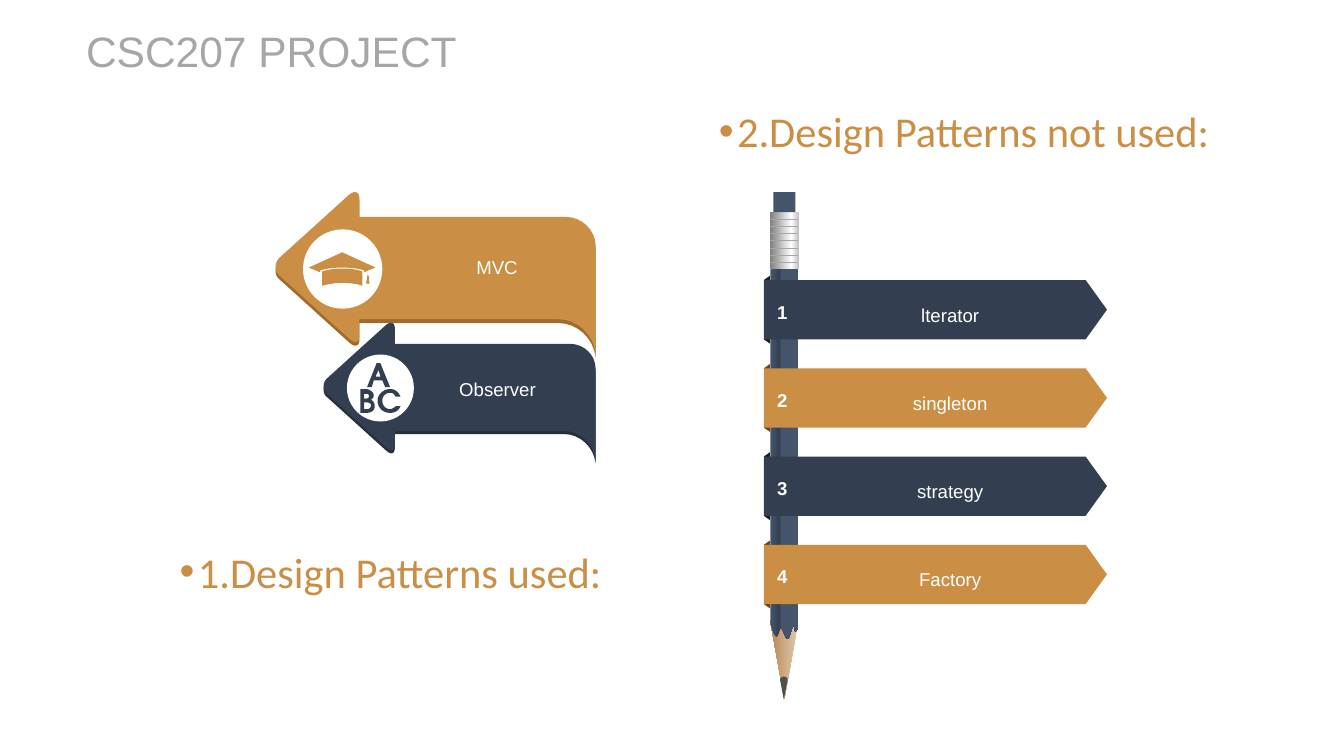
from lxml.etree import SubElement
from pptx import Presentation
from pptx.dml.color import RGBColor
from pptx.enum.shapes import MSO_CONNECTOR as Link, MSO_SHAPE as Kind
from pptx.enum.text import MSO_ANCHOR as Anchor, MSO_AUTO_SIZE as Fit, PP_ALIGN as Align
from pptx.oxml.ns import qn
from pptx.util import Inches, Pt

GOLD, NAVY, SLATE, WHITE, GREY = "CA8F45", "333F50", "44546A", "FFFFFF", "A6A6A6"


def rgb(code):
    return RGBColor.from_string(code)


def bend(start, curve, steps=8):
    """Points along a cubic curve, given as six numbers."""
    x, y = start
    a, b, c, d, e, f = curve
    for n in range(1, steps + 1):
        t = n / steps
        u = 1 - t
        k = (u ** 3, 3 * u * u * t, 3 * u * t * t, t ** 3)
        yield (k[0] * x + k[1] * a + k[2] * c + k[3] * e,
               k[0] * y + k[1] * b + k[2] * d + k[3] * f)


def trace(loop):
    """Turn pairs (corners) and sixes (curves) into plain points."""
    points = [loop[0]]
    for part in loop[1:]:
        points += [part] if len(part) == 2 else bend(points[-1], part)
    return points


class Board:
    font = "Arial"

    def __init__(self, slide):
        self.slide = slide
        self.shapes = slide.shapes

    def paint(self, shape, fill, turn=0):
        """Fill with one colour, or with a list of (percent, colour) stops."""
        shape.shadow.inherit = False
        shape.line.fill.background()
        if isinstance(fill, str):
            shape.fill.solid()
            shape.fill.fore_color.rgb = rgb(fill)
            return shape
        shape.fill.gradient()
        shape.fill.gradient_angle = turn
        stops = shape._element.spPr.find(qn("a:gradFill")).find(qn("a:gsLst"))
        for old in list(stops):
            stops.remove(old)
        for share, code in fill:
            stop = SubElement(stops, qn("a:gs"), pos=str(share * 1000))
            SubElement(stop, qn("a:srgbClr"), val=code)
        return shape

    def shape(self, kind, x, y, w, h, fill, adj=None, spin=0, turn=0):
        item = self.shapes.add_shape(kind, Inches(x), Inches(y), Inches(w), Inches(h))
        item.rotation = spin
        if adj is not None:
            item.adjustments[0] = adj
        return self.paint(item, fill, turn)

    def outline(self, loops, fill, x=0, y=0, scale=1):
        pen = None
        for loop in loops:
            first, *rest = [(Inches(x + a * scale), Inches(y + b * scale))
                            for a, b in trace(loop)]
            if pen is None:
                pen = self.shapes.build_freeform(*first)
            else:
                pen.move_to(*first)
            pen.add_line_segments(rest, close=True)
        return self.paint(pen.convert_to_shape(), fill)

    def line(self, x1, y1, x2, y2, code, width):
        item = self.shapes.add_connector(
            Link.STRAIGHT, Inches(x1), Inches(y1), Inches(x2), Inches(y2))
        item.line.color.rgb = rgb(code)
        item.line.width = Pt(width)
        SubElement(item._element.spPr, qn("a:effectLst"))

    def letter(self, item, text, size, code, align, font=None, bold=False, wrap=False):
        frame = item.text_frame
        frame.text = text
        frame.word_wrap = wrap
        frame.auto_size = Fit.NONE
        para = frame.paragraphs[0]
        para.alignment = align
        face = para.runs[0].font
        face.name, face.size, face.bold = font or self.font, Pt(size), bold
        face.color.rgb = rgb(code)
        return para

    def label(self, text, x, y, w, bold=False, wrap=False):
        box = self.shapes.add_textbox(Inches(x), Inches(y), Inches(w), Inches(0.36))
        para = self.letter(box, text, 14, WHITE, Align.CENTER, bold=bold, wrap=wrap)
        para.line_spacing = 1.2

    def place(self, item, x, y, w, h):
        item.left, item.top, item.width, item.height = map(Inches, (x, y, w, h))

    def title(self, text, *spot):
        item = self.shapes.title
        self.place(item, *spot)
        self.letter(item, text, 32, GREY, Align.LEFT, wrap=True)
        frame = item.text_frame
        frame.vertical_anchor = Anchor.MIDDLE
        frame.margin_left = frame.margin_right = frame.margin_top = frame.margin_bottom = 0

    def bullet(self, slot, text, *spot):
        item = self.slide.placeholders[slot]
        self.place(item, *spot)
        para = self.letter(item, text, 32, GOLD, Align.LEFT, "Calibri")
        para.space_before = Pt(0)
        props = para._p.get_or_add_pPr()
        props.set("marL", str(Inches(0.19)))
        props.set("indent", str(-Inches(0.19)))
        SubElement(props, qn("a:buFont"), typeface="Arial")
        SubElement(props, qn("a:buChar"), char="•")


# Arrow banner, measured from its top right corner
BANNER = [(0, 0.58), (0, 0.42, -0.14, 0.28, -0.31, 0.28), (-2.47, 0.28), (-2.47, 0.09),
          (-2.47, 0.02, -2.51, 0, -2.57, 0.04), (-3.31, 0.71),
          (-3.36, 0.76, -3.36, 0.85, -3.31, 0.89), (-2.57, 1.56),
          (-2.51, 1.61, -2.47, 1.59, -2.47, 1.52), (-2.47, 1.35), (-0.39, 1.35),
          (-0.19, 1.35, -0.02, 1.51, 0, 1.71)]

# Letters on the small banner
LETTERS = [
    [[(4.03, 4.05), (4, 3.98), (3.91, 3.98), (3.89, 4.05), (3.84, 4.05), (3.94, 3.8),
      (3.98, 3.8), (4.08, 4.05)],
     [(3.96, 3.87), (3.93, 3.94), (3.98, 3.94)]],
    [[(3.83, 4.32), (3.77, 4.32), (3.77, 4.07), (3.82, 4.07),
      (3.85, 4.07, 3.87, 4.08, 3.88, 4.09), (3.9, 4.1, 3.91, 4.12, 3.91, 4.14),
      (3.91, 4.16, 3.9, 4.17, 3.88, 4.18), (3.91, 4.2, 3.92, 4.22, 3.92, 4.25),
      (3.92, 4.29, 3.89, 4.32, 3.83, 4.32)],
     [(3.83, 4.12), (3.81, 4.12), (3.81, 4.17), (3.83, 4.17),
      (3.85, 4.17, 3.86, 4.16, 3.86, 4.14), (3.86, 4.13, 3.85, 4.12, 3.83, 4.12)],
     [(3.83, 4.21), (3.81, 4.21), (3.81, 4.28), (3.84, 4.28),
      (3.86, 4.28, 3.88, 4.27, 3.88, 4.24), (3.88, 4.22, 3.86, 4.21, 3.83, 4.21)]],
    [[(4.08, 4.32), (4.01, 4.32, 3.95, 4.27, 3.95, 4.19), (3.95, 4.13, 4.01, 4.07, 4.08, 4.07),
      (4.13, 4.07, 4.17, 4.1, 4.19, 4.15), (4.14, 4.15), (4.12, 4.12, 4.11, 4.11, 4.08, 4.11),
      (4.03, 4.11, 4, 4.15, 4, 4.19), (4, 4.24, 4.03, 4.28, 4.08, 4.28),
      (4.1, 4.28, 4.12, 4.27, 4.14, 4.25), (4.19, 4.25), (4.17, 4.3, 4.13, 4.32, 4.08, 4.32)]],
]

# Graduation cap on the large banner: base, then board with tassel
CAP = [
    [[(3.58, 2.81), (3.45, 2.81, 3.37, 2.84, 3.37, 2.84), (3.37, 2.99),
      (3.37, 2.99, 3.47, 2.96, 3.58, 2.96), (3.65, 2.96, 3.72, 2.97, 3.76, 2.98),
      (3.79, 2.99), (3.79, 2.84), (3.74, 2.82, 3.67, 2.81, 3.58, 2.81)]],
    [[(3.86, 2.91), (3.86, 2.89), (3.85, 2.88), (3.85, 2.83), (3.93, 2.8), (3.58, 2.64),
      (3.23, 2.8), (3.35, 2.85), (3.35, 2.83), (3.35, 2.83, 3.43, 2.8, 3.58, 2.8),
      (3.68, 2.8, 3.75, 2.81, 3.81, 2.83), (3.81, 2.85), (3.85, 2.83), (3.85, 2.88),
      (3.84, 2.89), (3.84, 2.91), (3.84, 2.94, 3.83, 2.95, 3.83, 2.96),
      (3.83, 2.96, 3.84, 2.97, 3.85, 2.97), (3.86, 2.97, 3.87, 2.96, 3.87, 2.96),
      (3.86, 2.95, 3.86, 2.94, 3.86, 2.91)]],
]

# Pencil barrel with its ragged lower edge, and the lead
BARREL = [(8.06, 2.82), (8.35, 2.82), (8.35, 6.49), (8.35, 6.57, 8.34, 6.6, 8.32, 6.61),
          (8.3, 6.58, 8.31, 6.52, 8.3, 6.54), (8.29, 6.55, 8.26, 6.68, 8.24, 6.69),
          (8.22, 6.69, 8.19, 6.58, 8.17, 6.57), (8.15, 6.57, 8.14, 6.67, 8.12, 6.66),
          (8.09, 6.63, 8.07, 6.57, 8.06, 6.52)]
LEAD = [(8.2, 7.08), (8.23, 7.08, 8.24, 7.1, 8.24, 7.11), (8.2, 7.32), (8.16, 7.11),
        (8.17, 7.09, 8.18, 7.08, 8.2, 7.08)]


def main():
    deck = Presentation()
    deck.slide_width, deck.slide_height = Inches(14.06), Inches(7.91)
    board = Board(deck.slides.add_slide(deck.slide_layouts[3]))

    # Headings
    board.title("CSC207 PROJECT", 0.9, 0.26, 4.32, 0.54)
    board.bullet(1, "1.Design Patterns used:", 1.78, 5.66, 4.67, 0.64)
    board.bullet(2, "2.Design Patterns not used:", 7.42, 1.05, 5.4, 0.64)

    # Arrow banners, each over its darker edge
    for top, scale, fill, edge in ((3.36, 0.85, NAVY, "262F3C"), (1.99, 1, GOLD, "9E6C2D")):
        for drop, code in ((0.04, edge), (0, fill)):
            board.outline([BANNER], code, 6.23, top + drop * scale, scale)

    # Round badges and their signs
    for x, y, size, sign, code in ((3.63, 3.71, 0.7, LETTERS, NAVY), (3.17, 2.4, 0.83, CAP, GOLD)):
        board.shape(Kind.OVAL, x, y, size, size, WHITE)
        for loops in sign:
            board.outline(loops, code)
    board.label("MVC", 4.88, 2.58, 0.64)
    board.label("Observer", 4.7, 3.86, 1.01)

    # Pencil
    board.shape(Kind.PENTAGON, 7.79, 6.75, 0.83, 0.3,
                [(0, "E1C9AF"), (100, "B88954")], 2.77, 90, 270)
    board.outline([BARREL], [(0, SLATE), (34, NAVY), (38, SLATE), (100, SLATE)])
    board.shape(Kind.RECTANGLE, 8.06, 2.22, 0.3, 0.6,
                [(0, "BFBFBF"), (27, WHITE), (100, "808080")], turn=180)
    board.shape(Kind.RECTANGLE, 8.09, 2.01, 0.23, 0.21, SLATE)
    board.outline([LEAD], "4C504C")
    for n in range(7):
        y = 2.29 + n * 0.46 / 6
        board.line(8.06, y, 8.35, y, GREY, 0.5)

    # Numbered tags wrapped round the pencil
    for n, name in enumerate(("lterator", "singleton", "strategy", "Factory")):
        y = 2.93 + n * 2.77 / 3
        fill, fold = ((NAVY, "191F28"), (GOLD, "69481E"))[n % 2]
        board.shape(Kind.TRAPEZOID, 7.67, y + 0.28, 0.71, 0.06, fold, 0.7, 270)
        board.shape(Kind.PENTAGON, 7.99, y, 3.59, 0.62, fill, 0.36)
        board.label(name, 8.75, y + 0.15, 2.38, wrap=True)
        board.label(str(n + 1), 8.03, y + 0.12, 0.31, bold=True)

    deck.save("out.pptx")


if __name__ == "__main__":
    main()
